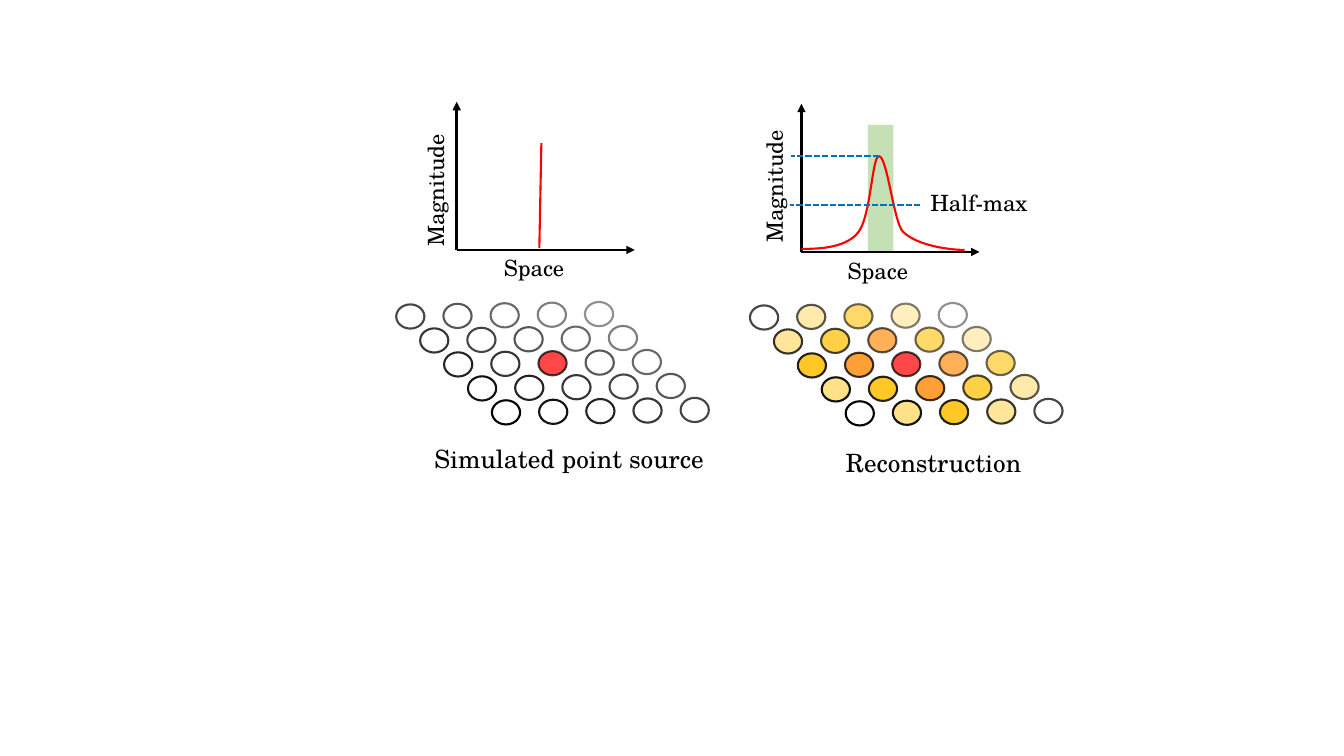
import dataclasses
import typing
import pptx
import pptx.dml.color
import pptx.enum.dml
import pptx.enum.shapes
import pptx.enum.text
import pptx.oxml
import pptx.oxml.ns
import pptx.util

HUES = {
    "black": "000000", "white": "FFFFFF", "red": "FF0000", "orange": "FF8600",
    "gold": "FFC000", "cream": "FFE080", "green": "C5E0B4", "blue": "0070C0",
}
FRAME = {"word_wrap": True, "auto_size": pptx.enum.text.MSO_AUTO_SIZE.SHAPE_TO_FIT_TEXT}
FONT = {"name": "TeX Gyre Schola"}
DASH = {"dash_style": pptx.enum.dml.MSO_LINE.SQUARE_DOT}
KIND = pptx.enum.shapes.MSO_SHAPE
SIDE = 5
COL_STEP = (3.51, -0.08)
ROW_STEP = (1.78, 3.17)
DISC = (2.1, 3.2)
AXIS = (13.25, 19.6)

Point = tuple[float, float]


@dataclasses.dataclass
class Panel:
    disc: Point
    base: Point
    hues: list[str]


@dataclasses.dataclass
class Label:
    text: str
    spot: Point
    size: Point = (11.1, 5.2)
    points: int = 16
    turn: int = 0


@dataclasses.dataclass
class Stroke:
    start: Point
    end: Point
    hue: str
    width: float = 1.5
    arrow: bool = False
    form: dict = dataclasses.field(default_factory=dict)


PANELS = [
    Panel((29.48, 40.27), (33.98, 33.07), ["red"] + ["white"] * 4),
    Panel((55.8, 40.4), (59.63, 33.33), ["red", "orange", "gold", "cream", "white"]),
]
MARKS = [
    Stroke((40.13, 32.8), (40.28, 18.93), "red"),
    Stroke((65.4, 20.67), (58.88, 20.67), "blue", form=DASH),
    Stroke((68.48, 27.07), (58.8, 27.07), "blue", form=DASH),
]
LABELS = [
    Label("Magnitude", (26.93, 21.47), turn=270),
    Label("Space", (36.75, 32.93)),
    Label("Space", (62.33, 33.33)),
    Label("Half-max", (68.48, 24.4)),
    Label("Magnitude", (52.13, 20.93), turn=270),
    Label("Simulated point source", (31.58, 58), (22.65, 5.73), 18),
    Label("Reconstruction", (62.18, 58.53), (22.65, 5.73), 18),
]
PEAK = [
    (59.63, 32.93), (60.68, 32.93), (62.85, 32.93), (63.83, 30.8),
    (64.8, 28.8), (64.88, 20.67), (65.4, 20.67),
    (66, 20.53), (66.53, 29.73), (67.2, 30.67),
    (68.25, 32.53), (70.73, 33.07), (71.78, 33.07),
]

deck = pptx.Presentation()
deck.slide_width = pptx.util.Inches(13.33)
deck.slide_height = pptx.util.Inches(7.5)
slide = deck.slides.add_slide(deck.slide_layouts[6])
shapes = slide.shapes


def place(spot: Point) -> tuple[int, int]:
    return int(deck.slide_width * spot[0] / 100), int(deck.slide_height * spot[1] / 100)


def apply(item: typing.Any, form: dict) -> None:
    for name, value in form.items():
        setattr(item, name, value)


def tint(name: str) -> pptx.dml.color.RGBColor:
    return pptx.dml.color.RGBColor.from_string(HUES[name])


def ink(line: typing.Any, hue: str, width: float) -> None:
    line.fill.solid()
    line.fill.fore_color.rgb = tint(hue)
    line.width = pptx.util.Pt(width)


def add_part(parent: typing.Any, tag: str, **values: str) -> None:
    part = pptx.oxml.parse_xml(f"<{tag} {pptx.oxml.ns.nsdecls('a')}/>")
    for name, value in values.items():
        part.set(name, value)
    parent.append(part)


def draw_shape(kind: KIND, spot: Point, size: Point, hue: str) -> typing.Any:
    shape = shapes.add_shape(kind, *place(spot), *place(size))
    shape.shadow.inherit = False
    shape.fill.solid()
    shape.fill.fore_color.rgb = tint(hue)
    shape.line.fill.background()
    return shape


def draw_discs(panel: Panel) -> None:
    for row in range(SIDE):
        for col in range(SIDE):
            hue = panel.hues[min(abs(row - 2) + abs(col - 2), 4)]
            spot = tuple(panel.disc[i] + col * COL_STEP[i] + row * ROW_STEP[i] for i in (0, 1))
            disc = draw_shape(KIND.OVAL, spot, DISC, hue)
            ink(disc.line, "black", 1.5)
            edge = 72 + 7 * (row - col)
            body = 76 + 6 * (row - col) if hue == "white" else edge
            tones = disc._element.spPr.iter(pptx.oxml.ns.qn("a:srgbClr"))
            for tone, share in zip(list(tones), (body, edge)):
                add_part(tone, "a:alpha", val=str(share * 1000))


def draw_stroke(mark: Stroke) -> None:
    line = shapes.add_connector(
        pptx.enum.shapes.MSO_CONNECTOR.STRAIGHT, *place(mark.start), *place(mark.end))
    ink(line.line, mark.hue, mark.width)
    apply(line.line, mark.form)
    if mark.arrow:
        add_part(line.line._get_or_add_ln(), "a:tailEnd", type="triangle")
    add_part(line._element.spPr, "a:effectLst")


def draw_axes(panel: Panel) -> None:
    left, floor = panel.base
    for end in ((left, floor - AXIS[1]), (left + AXIS[0], floor)):
        draw_stroke(Stroke(panel.base, end, "black", 2, True))


def bend(knots: list[Point], t: float) -> Point:
    shares = ((1 - t) ** 3, 3 * t * (1 - t) ** 2, 3 * t * t * (1 - t), t ** 3)
    return tuple(sum(s * knot[i] for s, knot in zip(shares, knots)) for i in (0, 1))


def draw_peak(knots: list[Point], steps: int = 16) -> None:
    path = [place(bend(knots[i:i + 4], step / steps))
            for i in range(0, len(knots) - 1, 3) for step in range(1, steps + 1)]
    pen = shapes.build_freeform(*place(knots[0]), scale=1.0)
    pen.add_line_segments(path, close=False)
    curve = pen.convert_to_shape()
    curve.shadow.inherit = False
    curve.fill.background()
    ink(curve.line, "red", 1.5)


def draw_label(label: Label) -> None:
    box = shapes.add_textbox(*place(label.spot), *place(label.size))
    box.rotation = label.turn
    apply(box.text_frame, FRAME)
    run = box.text_frame.paragraphs[0].add_run()
    run.text = label.text
    apply(run.font, FONT | {"size": pptx.util.Pt(label.points)})
    run.font.color.rgb = tint("black")


for panel in PANELS:
    draw_discs(panel)
draw_shape(KIND.RECTANGLE, (64.58, 16.53), (1.9, 16.8), "green")
for panel in PANELS:
    draw_axes(panel)
draw_peak(PEAK)
for mark in MARKS:
    draw_stroke(mark)
for label in LABELS:
    draw_label(label)

deck.save("out.pptx")
